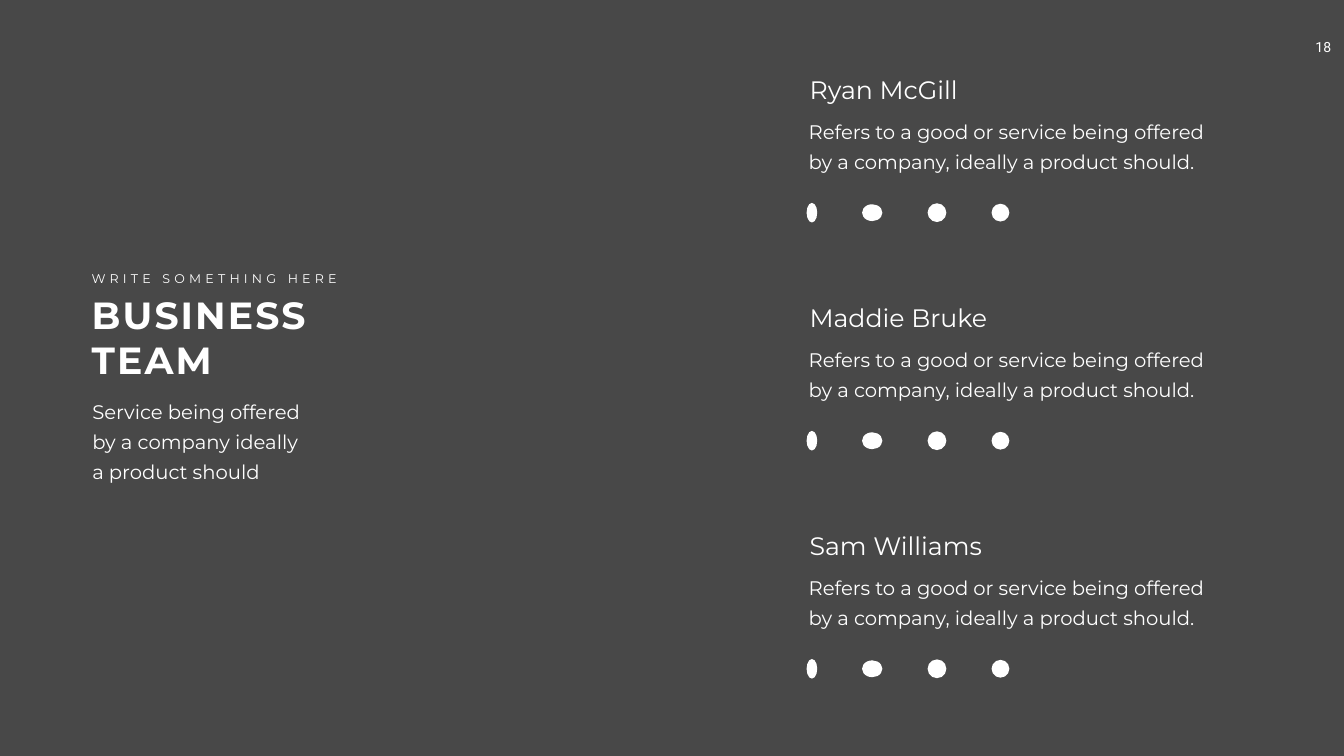
from dataclasses import dataclass

from pptx import Presentation
from pptx.dml.color import RGBColor
from pptx.enum import shapes, text
from pptx.util import Pt

BACKGROUND = RGBColor(0x48, 0x48, 0x48)
WHITE = RGBColor(0xFF, 0xFF, 0xFF)
HEADING_FONT = "Montserrat"
NUMBER_FONT = "Roboto"

MEMBER_PITCH = 325.8
ICON_MIDDLE = 303.8


@dataclass(frozen=True)
class Box:
    left: float
    top: float
    width: float
    height: float

    def lowered(self, distance: float) -> "Box":
        return Box(self.left, self.top + distance, self.width, self.height)


@dataclass(frozen=True)
class TextStyle:
    size: float
    font: str = HEADING_FONT
    bold: bool = False
    tracking: float = 0
    line_spacing: float | None = None
    inset: tuple[float, float] = (7.2, 3.6)
    alignment: text.PP_ALIGN = text.PP_ALIGN.LEFT
    wrap: bool = True


@dataclass(frozen=True)
class Icon:
    left: float
    width: float
    height: float


TITLE = TextStyle(54, bold=True, tracking=3)
KICKER = TextStyle(18, tracking=6, wrap=False)
BODY = TextStyle(28, line_spacing=43, inset=(17.28, 8.64))
NAME = TextStyle(36)
PAGE_NUMBER = TextStyle(20, font=NUMBER_FONT, inset=(14.4, 7.2),
                        alignment=text.PP_ALIGN.CENTER, wrap=False)

MEMBERS = ["Ryan McGill", "Maddie Bruke", "Sam Williams"]
DESCRIPTION = ("Refers to a good or service being offered by a company, "
               "ideally a product should.")
NAME_BOX = Box(1149.1, 103, 346.3, 51.1)
DESCRIPTION_BOX = Box(1137.6, 153.4, 630.7, 100.1)
ICONS = [
    Icon(1152, 15.2, 28),
    Icon(1231.2, 29, 24),
    Icon(1324.8, 26.8, 26.8),
    Icon(1416.2, 25.4, 25.4),
]


def write(shape, content: str, box: Box, style: TextStyle) -> None:
    """Place a text shape and fill it with one styled run."""
    shape.left, shape.top = Pt(box.left), Pt(box.top)
    shape.width, shape.height = Pt(box.width), Pt(box.height)
    frame = shape.text_frame
    frame.word_wrap = style.wrap
    frame.auto_size = text.MSO_AUTO_SIZE.NONE
    frame.vertical_anchor = text.MSO_ANCHOR.TOP
    horizontal, vertical = style.inset
    frame.margin_left = frame.margin_right = Pt(horizontal)
    frame.margin_top = frame.margin_bottom = Pt(vertical)
    paragraph = frame.paragraphs[0]
    paragraph.alignment = style.alignment
    if style.line_spacing:
        paragraph.line_spacing = Pt(style.line_spacing)
    run = paragraph.add_run()
    run.text = content
    run.font.name = style.font
    run.font.size = Pt(style.size)
    run.font.bold = style.bold
    run.font.color.rgb = WHITE
    if style.tracking:
        run._r.get_or_add_rPr().set("spc", str(round(style.tracking * 100)))


def add_text(slide, content: str, box: Box, style: TextStyle) -> None:
    shape = slide.shapes.add_textbox(0, 0, 0, 0)
    write(shape, content, box, style)


def add_icon(slide, icon: Icon, middle: float) -> None:
    shape = slide.shapes.add_shape(
        shapes.MSO_SHAPE.OVAL, Pt(icon.left), Pt(middle - icon.height / 2),
        Pt(icon.width), Pt(icon.height))
    shape.shadow.inherit = False
    shape.fill.solid()
    shape.fill.fore_color.rgb = WHITE
    shape.line.fill.background()


def add_member(slide, name: str, offset: float) -> None:
    add_text(slide, DESCRIPTION, DESCRIPTION_BOX.lowered(offset), BODY)
    add_text(slide, name, NAME_BOX.lowered(offset), NAME)
    for icon in ICONS:
        add_icon(slide, icon, ICON_MIDDLE + offset)


def main() -> None:
    presentation = Presentation()
    presentation.slide_width, presentation.slide_height = Pt(1919.52), Pt(1080)
    slide = presentation.slides.add_slide(
        presentation.slide_layouts.get_by_name("Title Only"))
    slide.background.fill.solid()
    slide.background.fill.fore_color.rgb = BACKGROUND

    write(slide.shapes.title, "BUSINESS TEAM",
          Box(123.8, 413.3, 373, 138.2), TITLE)
    add_text(slide, "18", Box(1857.3, 48.2, 65.5, 38.9), PAGE_NUMBER)
    add_text(slide, "WRITE SOMETHING HERE",
             Box(123.8, 383, 373, 28.8), KICKER)
    add_text(slide, "Service being offered by a company ideally a product should",
             Box(114.5, 553.7, 349.2, 144), BODY)
    for index, name in enumerate(MEMBERS):
        add_member(slide, name, index * MEMBER_PITCH)

    presentation.save("out.pptx")


if __name__ == "__main__":
    main()
